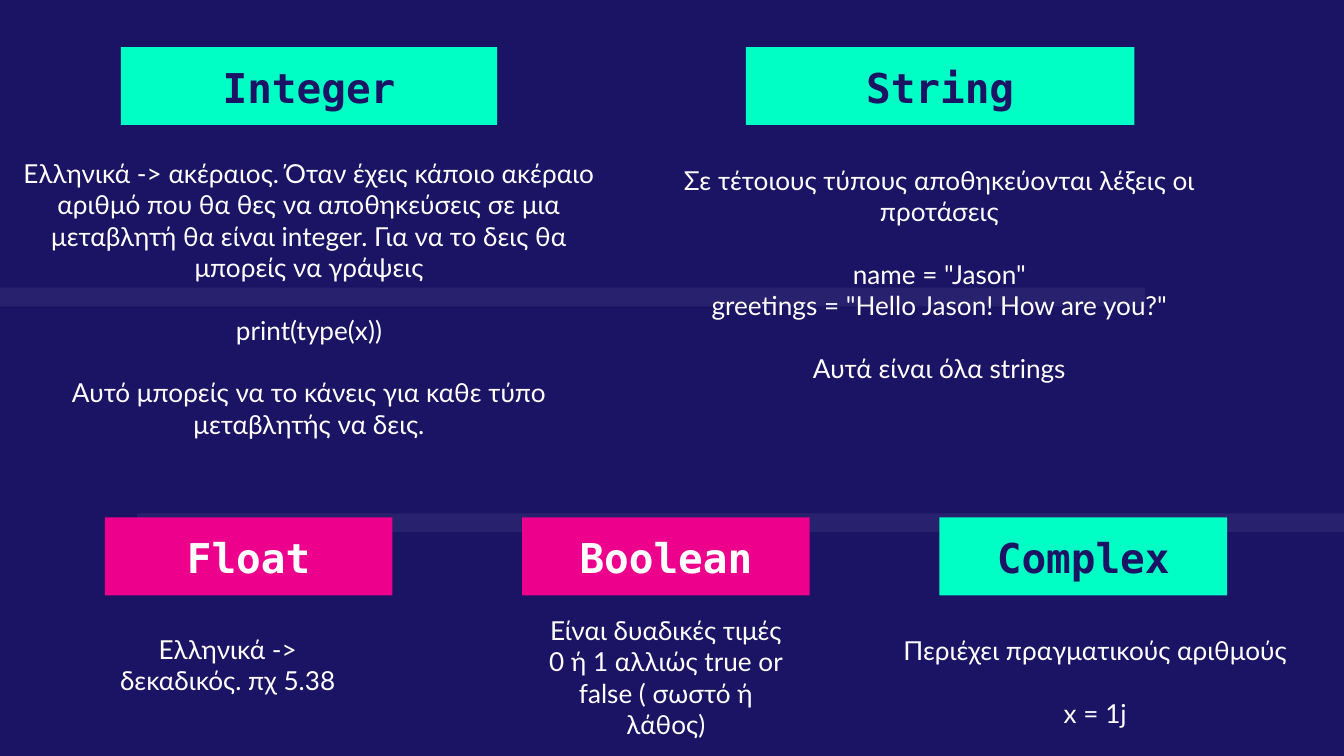
from pptx import Presentation
from pptx.dml.color import RGBColor
from pptx.enum.shapes import MSO_SHAPE
from pptx.enum.text import MSO_ANCHOR, PP_ALIGN
from pptx.oxml.ns import qn
from pptx.util import Inches, Pt
from lxml import etree

RECTANGLE = MSO_SHAPE.RECTANGLE
TOP, BOTTOM = MSO_ANCHOR.TOP, MSO_ANCHOR.BOTTOM
CENTER = PP_ALIGN.CENTER

SLIDE_WIDTH = 10
SLIDE_HEIGHT = SLIDE_WIDTH * 9 / 16
COLORS = {"navy": "1B1464", "mint": "00FFC5", "pink": "EC008C", "white": "FFFFFF"}
TITLE_FONT, BODY_FONT = "DejaVu Sans Mono", "Lato"
TITLE_SIZE, BODY_SIZE = 22, 14
BLOCK_GAP = BODY_SIZE * 1.2  # one line of body text
TITLE_HEIGHT = 0.58
TOP_ROW, BOTTOM_ROW = 0.35, 3.85
BOTTOM_FIRST, BOTTOM_LAST, BOTTOM_WIDTH = 0.78, 6.99, 2.14

STRIPES = [(0, 2.14, 8.52, 0.14), (1.02, 3.82, 8.98, 0.14)]

# Each body is a list of blocks; each block is a list of paragraphs.
TOP_TYPES = [
    {"title": "Integer", "left": 0.9, "width": 2.8, "fill": "mint", "ink": "navy",
     "body_box": (0, 1.07, 4.6, 1.67),
     "body": [["Ελληνικά -> ακέραιος. Όταν έχεις κάποιο ακέραιο αριθμό που θα θες να "
               "αποθηκεύσεις σε μια μεταβλητή θα είναι integer. Για να το δεις θα "
               "μπορείς να γράψεις"],
              ["print(type(x))"],
              ["Αυτό μπορείς να το κάνεις για καθε τύπο μεταβλητής να δεις."]]},
    {"title": "String", "left": 5.55, "width": 2.89, "fill": "mint", "ink": "navy",
     "body_box": (4.94, 1.12, 4.1, 1.74),
     "body": [["Σε τέτοιους τύπους αποθηκεύονται λέξεις οι προτάσεις"],
              ['name = "Jason"', 'greetings = "Hello Jason! How are you?"'],
              ["Αυτά είναι όλα strings"]]},
]
BOTTOM_TYPES = [
    {"title": "Float", "fill": "pink", "ink": "white",
     "body_box": (0.66, 4.61, 2.07, 0.73),
     "body": [["Ελληνικά -> δεκαδικός. πχ 5.38"]]},
    {"title": "Boolean", "fill": "pink", "ink": "white",
     "body_box": (3.92, 4.47, 2.07, 0.73),
     "body": [["Είναι δυαδικές τιμές 0 ή 1 αλλιώς true or false ( σωστό ή λάθος)"]]},
    {"title": "Complex", "fill": "mint", "ink": "navy",
     "body_box": (6.43, 4.62, 3.44, 0.73),
     "body": [["Περιέχει πραγματικούς αριθμούς"], ["x = 1j"]]},
]


def rgb(name):
    return RGBColor.from_string(COLORS[name])


def add_rectangle(slide, box, color, opacity=None):
    rectangle = slide.shapes.add_shape(RECTANGLE, *map(Inches, box))
    rectangle.shadow.inherit = False
    rectangle.fill.solid()
    rectangle.fill.fore_color.rgb = rgb(color)
    rectangle.line.fill.background()
    if opacity is not None:
        fill_color = rectangle.element.spPr.find(qn("a:solidFill"))[0]
        etree.SubElement(fill_color, qn("a:alpha")).set("val", str(opacity * 1000))
    return rectangle


def write_text(shape, blocks, font, size, color, bold=False, anchor=TOP):
    """Fill a shape with blocks of paragraphs, leaving a gap between blocks."""
    frame = shape.text_frame
    frame.word_wrap = True
    frame.vertical_anchor = anchor
    frame.margin_left = frame.margin_right = Inches(0.1)
    frame.margin_top = frame.margin_bottom = Inches(0.1)
    lines = [(text, block > 0 and row == 0)
             for block, texts in enumerate(blocks) for row, text in enumerate(texts)]
    for index, (text, starts_block) in enumerate(lines):
        paragraph = frame.add_paragraph() if index else frame.paragraphs[0]
        paragraph.alignment = CENTER
        if starts_block:
            paragraph.space_before = Pt(BLOCK_GAP)
        run = paragraph.add_run()
        run.text = text
        run.font.name = font
        run.font.size = Pt(size)
        run.font.bold = bold
        run.font.color.rgb = rgb(color)


def add_data_type(slide, entry, left, top, width):
    body = slide.shapes.add_textbox(*map(Inches, entry["body_box"]))
    write_text(body, entry["body"], BODY_FONT, BODY_SIZE, "white")
    title = add_rectangle(slide, (left, top, width, TITLE_HEIGHT), entry["fill"])
    write_text(title, [[entry["title"]]], TITLE_FONT, TITLE_SIZE, entry["ink"],
               bold=True, anchor=BOTTOM)


def main():
    presentation = Presentation()
    presentation.slide_width = Inches(SLIDE_WIDTH)
    presentation.slide_height = Inches(SLIDE_HEIGHT)
    slide = presentation.slides.add_slide(presentation.slide_layouts[6])
    slide.background.fill.solid()
    slide.background.fill.fore_color.rgb = rgb("navy")

    for box in STRIPES:
        add_rectangle(slide, box, "white", opacity=6)
    for entry in TOP_TYPES:
        add_data_type(slide, entry, entry["left"], TOP_ROW, entry["width"])
    step = (BOTTOM_LAST - BOTTOM_FIRST) / (len(BOTTOM_TYPES) - 1)
    for column, entry in enumerate(BOTTOM_TYPES):
        left = BOTTOM_FIRST + column * step
        add_data_type(slide, entry, left, BOTTOM_ROW, BOTTOM_WIDTH)

    presentation.save("out.pptx")


if __name__ == "__main__":
    main()
